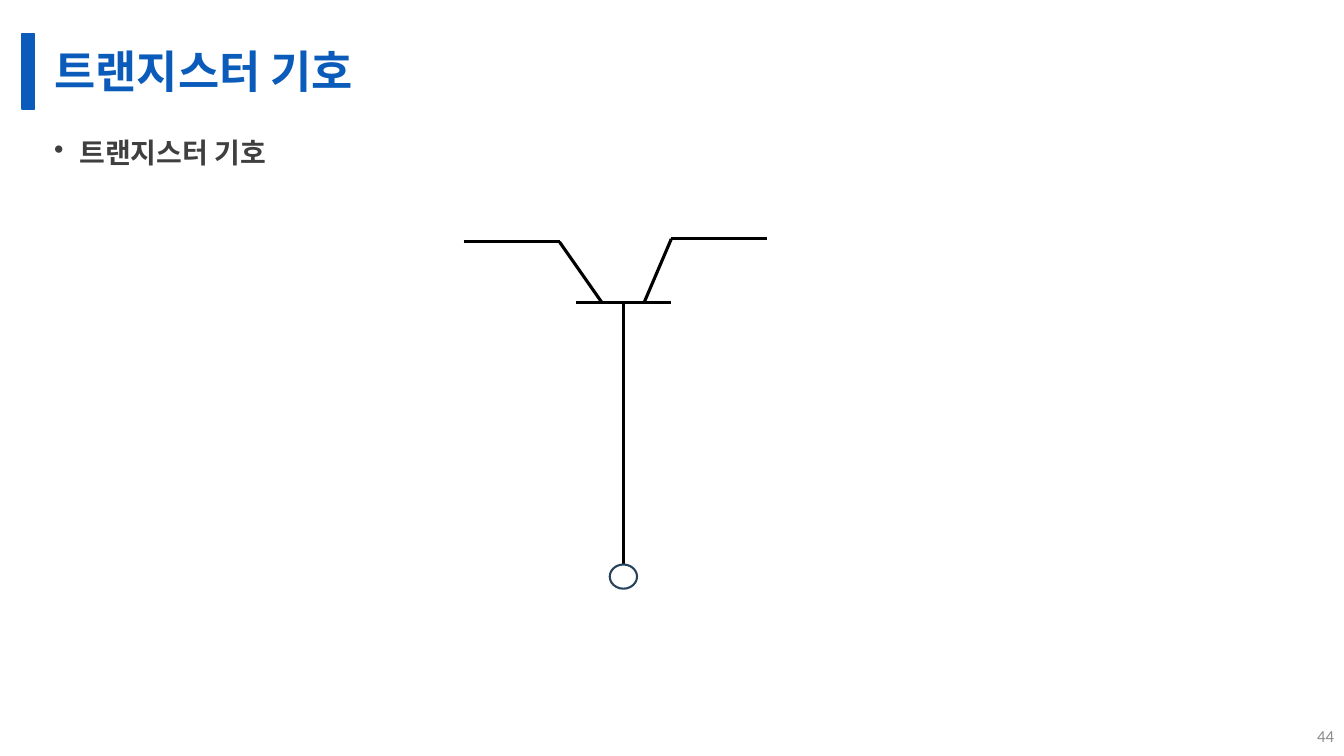
from lxml import etree
from pptx import Presentation
from pptx.dml.color import RGBColor
from pptx.enum.shapes import MSO_CONNECTOR, MSO_SHAPE
from pptx.enum.text import MSO_ANCHOR, MSO_AUTO_SIZE, PP_ALIGN
from pptx.oxml.ns import qn
from pptx.util import Inches, Pt

LINE = MSO_CONNECTOR.STRAIGHT
RECT, OVAL = MSO_SHAPE.RECTANGLE, MSO_SHAPE.OVAL
TOP, MIDDLE = MSO_ANCHOR.TOP, MSO_ANCHOR.MIDDLE
LEFT, RIGHT = PP_ALIGN.LEFT, PP_ALIGN.RIGHT
WIDTH, HEIGHT = Inches(13.33), Inches(7.5)
COLORS = {"accent": "0A5BBA", "body": "3F3F3F", "number": "8C8C8C",
          "wire": "000000", "terminal": "28445D"}


def x(percent):
    return round(WIDTH * percent / 100)


def y(percent):
    return round(HEIGHT * percent / 100)


def rgb(name):
    return RGBColor.from_string(COLORS[name])


def place(s, left, top, width, height):
    """Position a shape in percent of the slide's size."""
    s.left, s.top, s.width, s.height = x(left), y(top), x(width), y(height)


def write(s, text, size, font, color, bold=False, align=LEFT, anchor=TOP):
    tf = s.text_frame
    tf.word_wrap = True
    tf.auto_size = MSO_AUTO_SIZE.NONE
    tf.vertical_anchor = anchor
    p = tf.paragraphs[0]
    p.alignment = align
    r = p.add_run()
    r.text = text
    r.font.size, r.font.name, r.font.bold = Pt(size), font, bold
    r.font.color.rgb = rgb(color)
    return p


def add_bullet(p, indent):
    pPr = p._p.get_or_add_pPr()
    pPr.set("marL", str(indent))
    pPr.set("indent", str(-indent))
    etree.SubElement(pPr, qn("a:buChar")).set("char", "•")


def add_shape(shapes, kind, box, line, weight, fill=None):
    s = shapes.add_shape(kind, 0, 0, 0, 0)
    place(s, *box)
    s.shadow.inherit = False
    if fill:
        s.fill.solid()
        s.fill.fore_color.rgb = rgb(fill)
    else:
        s.fill.background()
    s.line.color.rgb = rgb(line)
    s.line.width = Pt(weight)


def add_wire(shapes, start, end):
    s = shapes.add_connector(LINE, x(start[0]), y(start[1]), x(end[0]), y(end[1]))
    s.line.color.rgb = rgb("wire")
    s.line.width = Pt(2.25)
    etree.SubElement(s._element.spPr, qn("a:effectLst"))


def add_transistor(slide):
    shapes = slide.shapes.add_group_shape().shapes
    arm = 7.13
    emitter, collector = (41.63, 32), (49.95, 31.6)
    base_left, base_y = 42.82, 40
    center, terminal_y = base_left + arm / 2, 74.67
    terminal_w, terminal_h = 2.03, 3.2
    wires = [
        ((emitter[0] - arm, emitter[1]), emitter),
        ((base_left, base_y), (base_left + arm, base_y)),
        (collector, (collector[0] + arm, collector[1])),
        (emitter, (44.78, base_y)),
        (collector, (47.93, base_y)),
        ((center, terminal_y), (center, base_y)),
    ]
    for start, end in wires:
        add_wire(shapes, start, end)
    terminal = (center - terminal_w / 2, terminal_y, terminal_w, terminal_h)
    add_shape(shapes, OVAL, terminal, "terminal", 1.5)


def add_title(slide, text):
    add_shape(slide.shapes, RECT, (1.65, 4.4, 0.9, 10), "accent", 1, "accent")
    s = slide.shapes.title
    place(s, 3.3, 4.4, 93.4, 10)
    p = write(s, text, 32, "Karla", "accent", bold=True, anchor=MIDDLE)
    p.line_spacing = 0.9
    s.text_frame.margin_bottom = 0


def add_body(slide, text):
    s = slide.shapes.add_textbox(0, 0, 0, 0)
    place(s, 3.3, 16.67, 93.4, 78.93)
    p = write(s, text, 20, "Lato", "body", bold=True)
    add_bullet(p, Inches(0.25))
    p.line_spacing = 1.14
    p.space_after = Pt(3)


def add_page_number(slide, text):
    s = slide.shapes.add_textbox(0, 0, 0, 0)
    place(s, 96.7, 94.67, 3.3, 5.33)
    write(s, text, 12, "Calibri", "number", align=RIGHT, anchor=MIDDLE)


def main():
    prs = Presentation()
    prs.slide_width, prs.slide_height = WIDTH, HEIGHT
    slide = prs.slides.add_slide(prs.slide_layouts[5])
    add_title(slide, "트랜지스터 기호")
    add_body(slide, "트랜지스터 기호")
    add_page_number(slide, "44")
    add_transistor(slide)
    prs.save("out.pptx")


if __name__ == "__main__":
    main()
